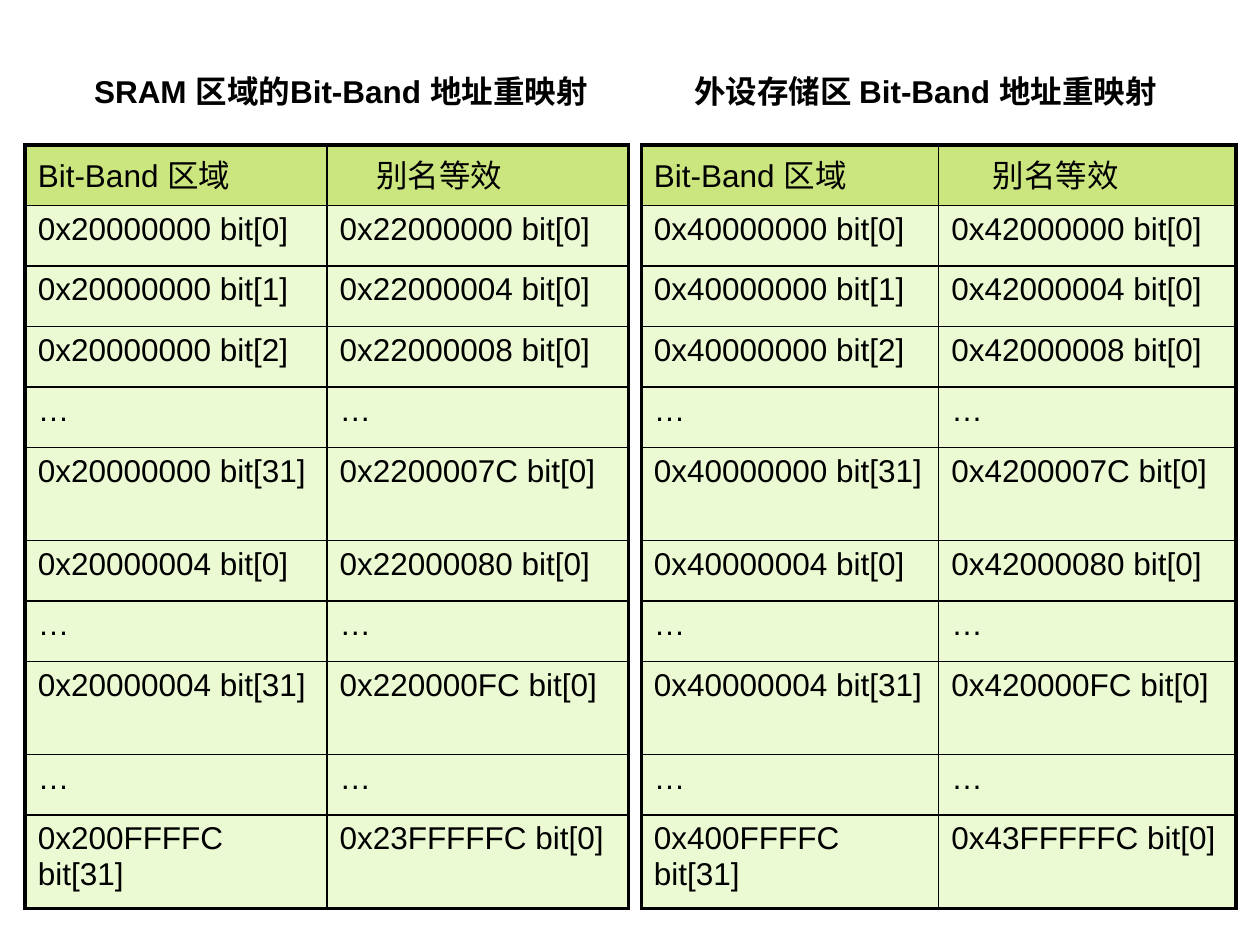
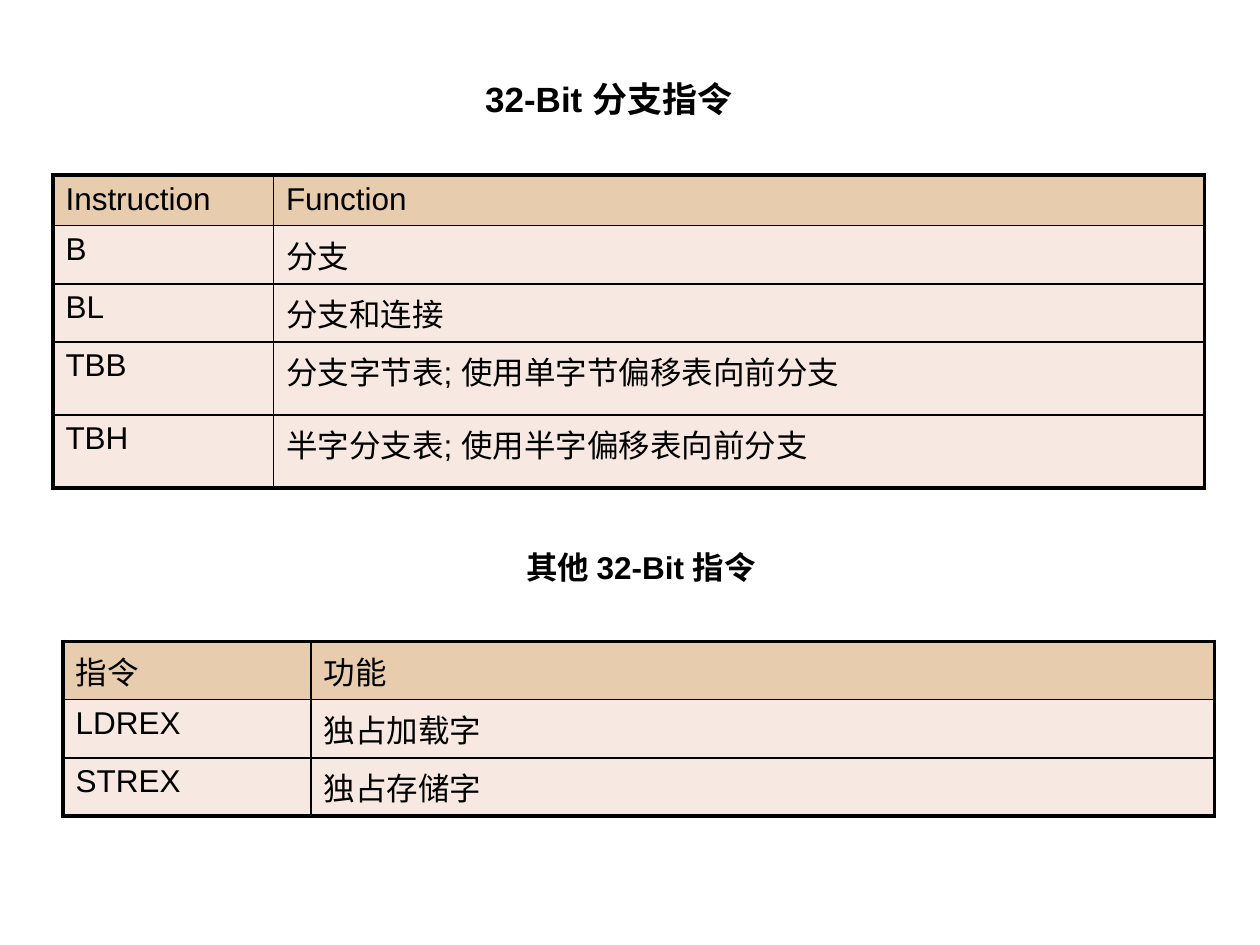
from lxml import etree
from pptx import Presentation
from pptx.dml.color import RGBColor
from pptx.enum.text import MSO_ANCHOR, MSO_AUTO_SIZE, PP_ALIGN
from pptx.oxml.ns import qn
from pptx.util import Inches, Pt

TOP, MIDDLE = MSO_ANCHOR.TOP, MSO_ANCHOR.MIDDLE
LEFT, CENTER = PP_ALIGN.LEFT, PP_ALIGN.CENTER
NO_AUTOFIT = MSO_AUTO_SIZE.NONE

FONT = "Arial"
COLORS = {
    "text": "000000",
    "border": "000000",
    "green_head": "99CC00",
    "green_body": "D8F6A8",
    "tan_head": "D09A5E",
    "tan_body": "F1D5C5",
}
FILL_ALPHA = 50
OUTER_LINE, INNER_LINE = 2.25, 1
TITLE_ONLY = 5

ROW, TALL_ROW = 0.48, 0.74
BIT_BAND_WORDS = [(0, 0), (0, 1), (0, 2), None, (0, 31), (4, 0), None,
                  (4, 31), None, (0xFFFFC, 31)]
ALIAS_OFFSET = 0x2000000

BRANCH_ROWS = [
    ("Instruction", "Function"),
    ("B", "分支"),
    ("BL", "分支和连接"),
    ("TBB", "分支字节表; 使用单字节偏移表向前分支"),
    ("TBH", "半字分支表; 使用半字偏移表向前分支"),
]
OTHER_ROWS = [
    ("指令", "功能"),
    ("LDREX", "独占加载字"),
    ("STREX", "独占存储字"),
]


def add_text(para, text, size=18, bold=False):
    span = para.add_run()
    span.text = text
    span.font.name = FONT
    span.font.size = Pt(size)
    span.font.bold = bold
    span.font.color.rgb = RGBColor.from_string(COLORS["text"])


def set_space_before(para, percent):
    spacing = etree.SubElement(para._p.get_or_add_pPr(), qn("a:spcBef"))
    etree.SubElement(spacing, qn("a:spcPct"), val=str(percent * 1000))


def format_heading(shape, box, text, size=18, align=LEFT, anchor=TOP):
    shape.left, shape.top, shape.width, shape.height = map(Inches, box)
    frame = shape.text_frame
    frame.word_wrap = True
    frame.auto_size = NO_AUTOFIT
    frame.vertical_anchor = anchor
    para = frame.paragraphs[0]
    para.alignment = align
    add_text(para, text, size, bold=True)


def add_heading(page, box, text, **style):
    format_heading(page.shapes.add_textbox(*map(Inches, box)), box, text, **style)


def fill_cell(cell, color):
    cell.fill.solid()
    cell.fill.fore_color.rgb = RGBColor.from_string(color)
    tint = cell._tc.tcPr.find(f"{qn('a:solidFill')}/{qn('a:srgbClr')}")
    etree.SubElement(tint, qn("a:alpha"), val=str(FILL_ALPHA * 1000))


def border_cell(cell, outer_sides):
    for position, (side, is_outer) in enumerate(outer_sides.items()):
        width = Pt(OUTER_LINE if is_outer else INNER_LINE)
        line = etree.Element(qn(f"a:ln{side}"), w=str(int(width)))
        fill = etree.SubElement(line, qn("a:solidFill"))
        etree.SubElement(fill, qn("a:srgbClr"), val=COLORS["border"])
        cell._tc.tcPr.insert(position, line)


def add_grid(page, box, rows, widths, heights, theme):
    frame = page.shapes.add_table(len(rows), len(widths), *map(Inches, box))
    table = frame.table
    table.first_row = table.horz_banding = False
    for column, width in zip(table.columns, widths):
        column.width = Inches(width)
    for row, height in zip(table.rows, heights):
        row.height = Inches(height)
    last_row, last_column = len(rows) - 1, len(widths) - 1
    for r, texts in enumerate(rows):
        for c, text in enumerate(texts):
            cell = table.cell(r, c)
            fill_cell(cell, COLORS[f"{theme}_{'body' if r else 'head'}"])
            border_cell(cell, {"L": c == 0, "R": c == last_column,
                               "T": r == 0, "B": r == last_row})
            para = cell.text_frame.paragraphs[0]
            set_space_before(para, 20)
            add_text(para, text)
    return table


def bit_band_rows(base):
    rows = [("Bit-Band 区域", "别名等效")]
    for word in BIT_BAND_WORDS:
        if word is None:
            rows.append(("…", "…"))
            continue
        offset, bit = word
        alias = base + ALIAS_OFFSET + offset * 32 + bit * 4
        rows.append((f"0x{base + offset:08X} bit[{bit}]", f"0x{alias:08X} bit[0]"))
    return rows


def add_bit_band_table(page, box, base, header_indent):
    heights = [ROW] + [TALL_ROW if word and word[1] == 31 else ROW
                       for word in BIT_BAND_WORDS]
    table = add_grid(page, box, bit_band_rows(base), [box[2] / 2] * 2,
                     heights, "green")
    table.cell(0, 1).margin_left = Inches(0.1 + header_indent)


def add_page(deck):
    return deck.slides.add_slide(deck.slide_layouts[TITLE_ONLY])


def build_remapping_page(deck):
    page = add_page(deck)
    format_heading(page.shapes.title, (0.5, 0.52, 4.41, 0.4),
                   "SRAM 区域的Bit-Band 地址重映射", align=CENTER, anchor=MIDDLE)
    add_heading(page, (5.14, 0.52, 4.41, 0.4),
                "外设存储区 Bit-Band 地址重映射", align=CENTER, anchor=MIDDLE)
    add_bit_band_table(page, (0.2, 1.15, 4.79, 6.06), 0x20000000, 0.29)
    add_bit_band_table(page, (5.09, 1.15, 4.72, 6.06), 0x40000000, 0.33)


def build_instruction_page(deck):
    page = add_page(deck)
    title = page.shapes.title
    format_heading(title, (3.75, 0.6, 3.48, 0.35), "32-Bit 分支指令", size=20)
    title.text_frame.paragraphs[0].line_spacing = 0.9
    add_heading(page, (4.08, 4.3, 2.06, 0.4), "其他 32-Bit 指令")
    add_grid(page, (0.42, 1.39, 9.14, 2.36), BRANCH_ROWS, [1.75, 7.39],
             [0.4] * 3 + [0.58] * 2, "tan")
    add_grid(page, (0.5, 5.09, 9.14, 1.24), OTHER_ROWS, [1.97, 7.17],
             [0.41, 0.43, 0.41], "tan")


def main():
    deck = Presentation()
    deck.slide_width, deck.slide_height = Inches(10), Inches(7.5)
    build_remapping_page(deck)
    build_instruction_page(deck)
    deck.save("out.pptx")


if __name__ == "__main__":
    main()
